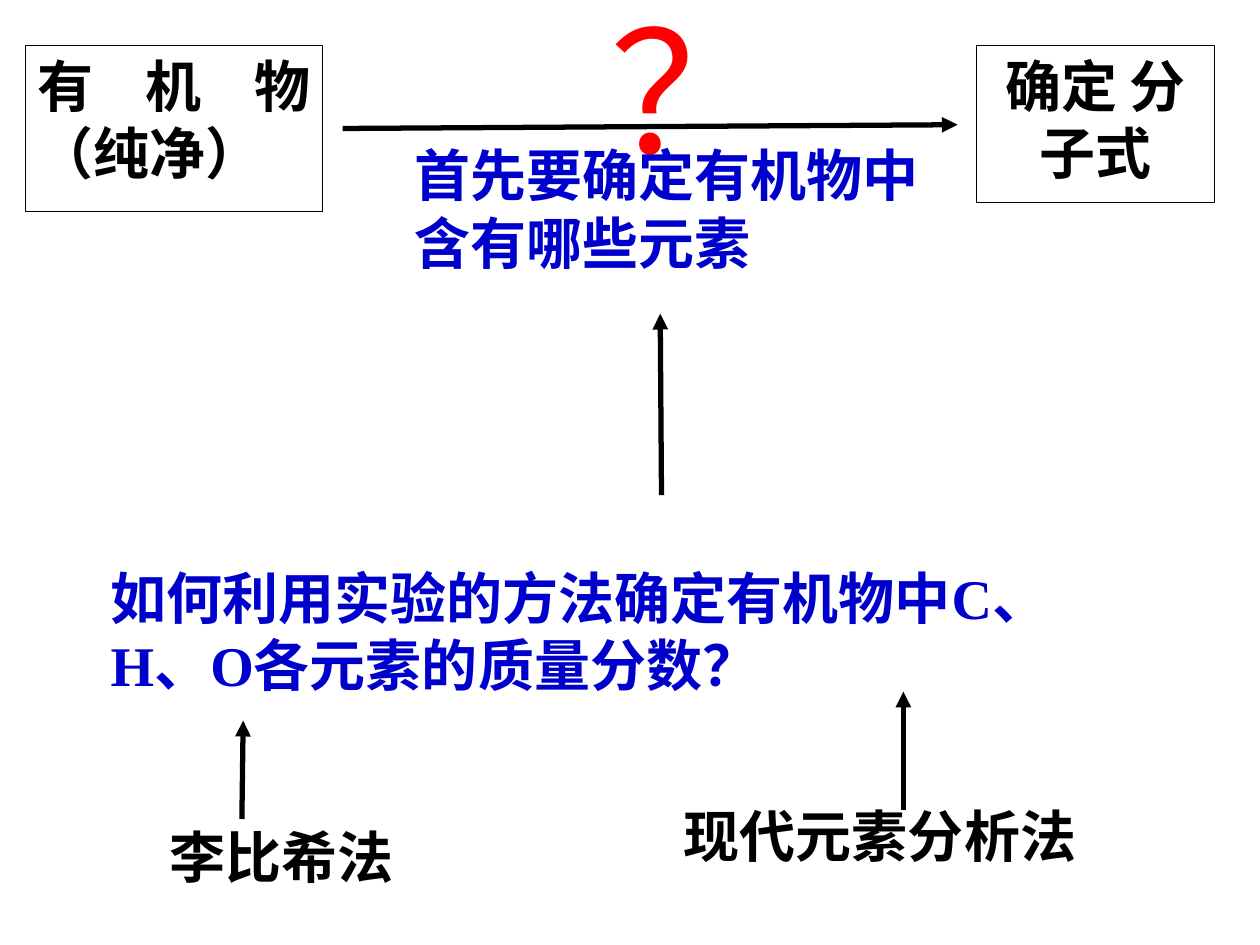
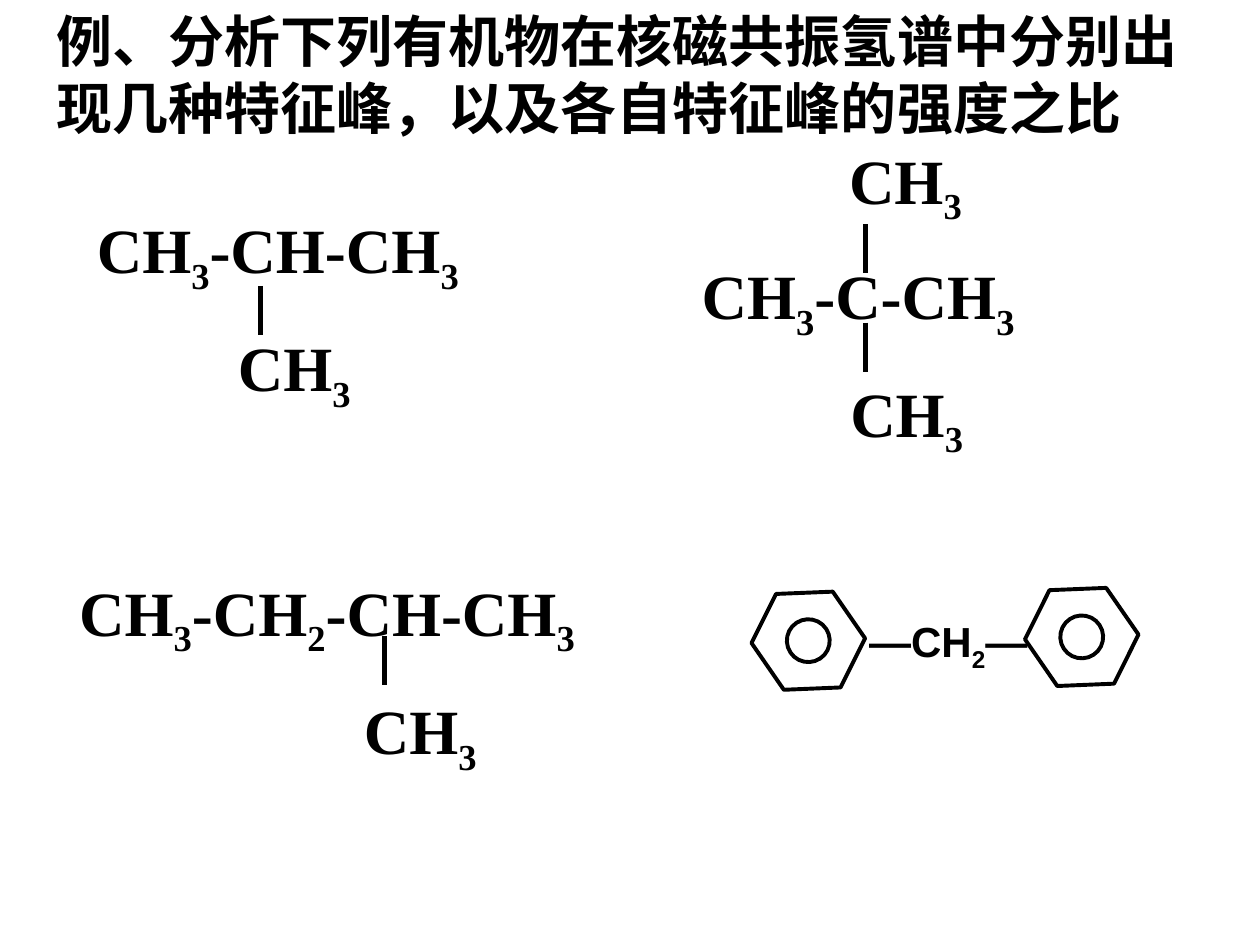
import itertools
import pptx
import pptx.util
import pptx.dml.color
import pptx.enum.dml
import pptx.enum.lang
import pptx.enum.shapes
import pptx.enum.text
import pptx.oxml.ns
from lxml import etree


class Theme:
    black = pptx.dml.color.RGBColor.from_string("000000")
    white = pptx.dml.color.RGBColor.from_string("FFFFFF")
    blue = pptx.dml.color.RGBColor.from_string("0000CC")
    red = pptx.dml.color.RGBColor.from_string("FF0000")
    han = "Noto Sans CJK SC"
    serif = "Times New Roman"
    sans = "Arial"
    body, huge, large, small = 32, 96, 36, 24
    bold, fine, ring = 3, 0.75, 2.25


align = pptx.enum.text.PP_ALIGN
forms = pptx.enum.shapes.MSO_SHAPE
tag = pptx.oxml.ns.qn

deck = pptx.Presentation()
deck.slide_width = pptx.util.Inches(10)
deck.slide_height = pptx.util.Inches(7.5)
# All lengths count cells of a grid of 100 columns by 75 rows
cell = deck.slide_width / 100


def write(shape, at, text, size=Theme.body, face=Theme.han, color=Theme.black,
          bold=True, side=align.LEFT):
    """Place a shape and fill it with text, setting digits as subscripts."""
    shape.left, shape.top, shape.width, shape.height = [int(v * cell) for v in at]
    frame = shape.text_frame
    frame.word_wrap = True
    frame.auto_size = pptx.enum.text.MSO_AUTO_SIZE.NONE
    frame.vertical_anchor = pptx.enum.text.MSO_ANCHOR.TOP
    para = frame.paragraphs[0]
    para.alignment = side
    for low, part in itertools.groupby(text, str.isdigit):
        run = para.add_run()
        run.text = "".join(part)
        font = run.font
        font.size, font.bold, font.name = pptx.util.Pt(size), bold, face
        font.color.rgb = color
        font.language_id = pptx.enum.lang.MSO_LANGUAGE_ID.SIMPLIFIED_CHINESE
        props = run._r.get_or_add_rPr()
        etree.SubElement(props, tag("a:ea"), typeface=Theme.han)
        if low:
            props.set("baseline", "-25000")
    return para


def draw(slide, ends, arrow=False):
    """Draw a thick line, with an arrowhead at its end if asked."""
    line = slide.shapes.add_connector(
        pptx.enum.shapes.MSO_CONNECTOR.STRAIGHT, *[int(v * cell) for v in ends])
    line.line.color.rgb = Theme.black
    line.line.width = pptx.util.Pt(Theme.bold)
    props = line._element.spPr
    if arrow:
        etree.SubElement(props.find(tag("a:ln")), tag("a:tailEnd"), type="triangle")
    etree.SubElement(props, tag("a:effectLst"))


# Slide 1: from compound to formula
flow = deck.slides.add_slide(deck.slide_layouts[6])

# Start and goal boxes
for at, text, side in [
    ((2, 3.6, 23.6, 13.2), "有机物（纯净）", align.JUSTIFY),
    ((77.5, 3.6, 18.9, 12.5), "确定 分子式", align.CENTER),
]:
    box = flow.shapes.add_shape(forms.RECTANGLE, 0, 0, 0, 0)
    box.shadow.inherit = False
    box.fill.solid()
    box.fill.fore_color.rgb = Theme.white
    box.line.color.rgb = Theme.black
    box.line.width = pptx.util.Pt(Theme.fine)
    write(box, at, text, side=side)

# Arrows
for ends in [
    (27.2, 10.2, 76, 9.9),
    (52.5, 39.3, 52.4, 24.9),
    (19.2, 65, 19.3, 57.2),
    (71.7, 64.3, 71.7, 54.9),
]:
    draw(flow, ends, arrow=True)

# Question mark, steps and methods
write(flow.shapes.add_textbox(0, 0, 0, 0), (47.5, -1.6, 11.7, 17), "？",
      Theme.huge, color=Theme.red, bold=False)
for at, text, face, color in [
    ((31.9, 10.7, 43.3, 11.7), "首先要确定有机物中含有哪些元素", Theme.han, Theme.blue),
    ((7.8, 44.2, 80.8, 11.7), "如何利用实验的方法确定有机物中C、H、O各元素的质量分数？",
     Theme.serif, Theme.blue),
    ((12.5, 64.8, 24.2, 6.4), "李比希法", Theme.han, Theme.black),
    ((53.3, 63.1, 37.6, 6.4), "现代元素分析法", Theme.han, Theme.black),
]:
    write(flow.shapes.add_textbox(0, 0, 0, 0), at, text, face=face, color=color)

# Slide 2: example with four molecules
quiz = deck.slides.add_slide(deck.slide_layouts[5])
write(quiz.shapes.title, (3.5, 0, 91.3, 11.7),
      "例、分析下列有机物在核磁共振氢谱中分别出现几种特征峰，以及各自特征峰的强度之比")

# Chains and their side groups
for left, top, width, text in [
    (6.7, 16.2, 37, "CH3-CH-CH3"),
    (17.9, 25.6, 12, "CH3"),
    (54.7, 19.9, 30.7, "CH3-C-CH3"),
    (66.5, 29.2, 12, "CH3"),
    (66.4, 10.7, 12, "CH3"),
    (5.3, 45, 48.8, "CH3-CH2-CH-CH3"),
    (27.9, 54.4, 12, "CH3"),
]:
    write(quiz.shapes.add_textbox(0, 0, 0, 0), (left, top, width, 7.9), text,
          Theme.large, Theme.serif)

# Upright bonds
for x, y in [(20.7, 22.7), (68.7, 25.6), (68.7, 17.8), (30.5, 50.5)]:
    draw(quiz, (x, y, x, y + 3.9))

# Two benzene rings joined by a bridge
bridge = write(quiz.shapes.add_textbox(0, 0, 0, 0), (68, 48.8, 15, 4.7), "—CH2—",
               Theme.small, Theme.sans)
bridge.line_spacing = 0.8
for x, y in [(64.15, 50.85), (85.85, 50.55)]:
    for form, wide, high in [(forms.HEXAGON, 8.7, 7.9), (forms.OVAL, 3.4, 3.4)]:
        ring = quiz.shapes.add_shape(form, *[
            int(v * cell) for v in (x - wide / 2, y - high / 2, wide, high)])
        ring.rotation = 116.5
        ring.shadow.inherit = False
        ring.fill.background()
        ring.line.color.rgb = Theme.black
        ring.line.width = pptx.util.Pt(Theme.ring)
        if form == forms.HEXAGON:
            ring.adjustments[0] = 0.275

deck.save("out.pptx")
